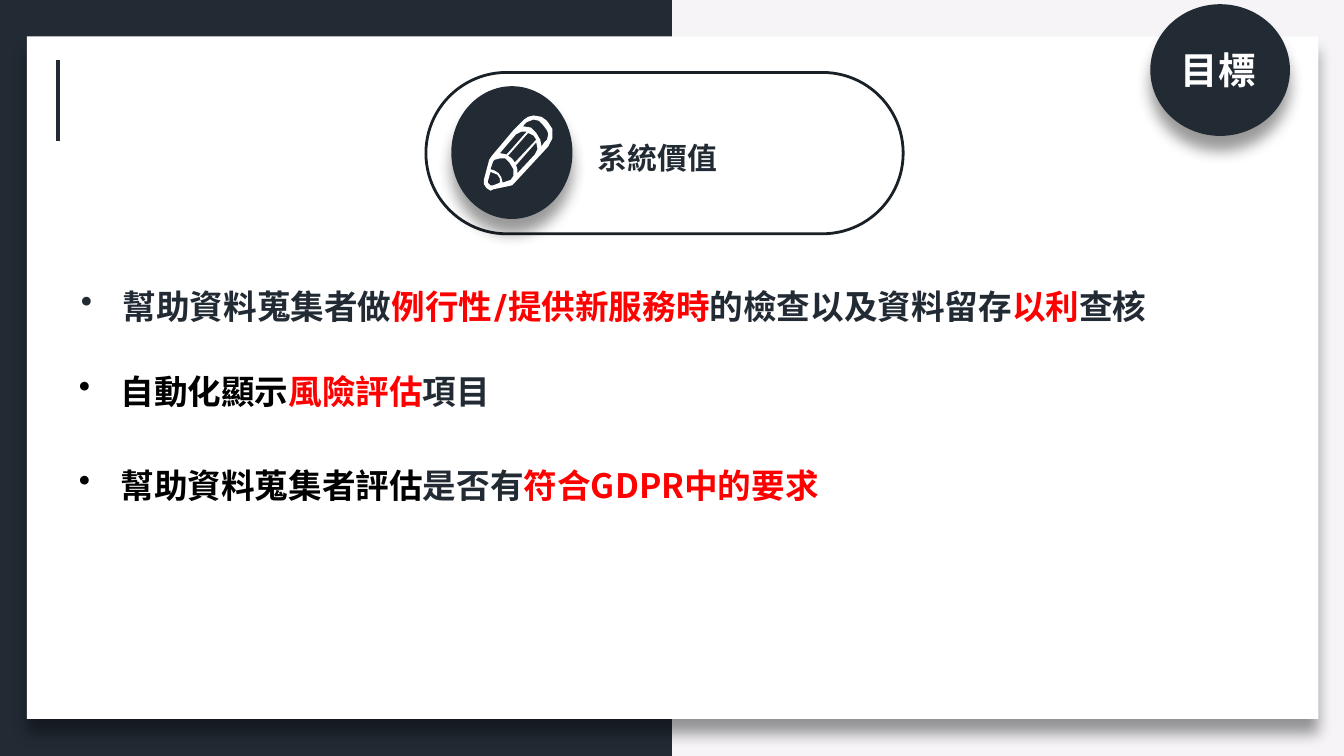
import pptx
import pptx.util
import pptx.dml.color
import pptx.enum.shapes
import pptx.enum.text
import pptx.oxml
import pptx.oxml.ns
import lxml.etree

Cm = pptx.util.Cm
Pt = pptx.util.Pt
color = pptx.dml.color.RGBColor.from_string
qn = pptx.oxml.ns.qn
SHAPE = pptx.enum.shapes.MSO_SHAPE
ALIGN = pptx.enum.text.PP_ALIGN

NAVY, WHITE, RED, BLACK = "222B34", "FFFFFF", "FF0000", "000000"
TRADITIONAL, SIMPLIFIED = "Noto Sans CJK TC", "Noto Sans CJK SC"
SHADOW = (
    '<a:effectLst xmlns:a="http://schemas.openxmlformats.org/drawingml/2006/main">'
    '<a:outerShdw blurRad="101600" dist="101600" dir="5400000" algn="t" rotWithShape="0">'
    '<a:srgbClr val="000000"><a:alpha val="40000"/></a:srgbClr>'
    "</a:outerShdw></a:effectLst>"
)

deck = pptx.Presentation()
deck.slide_width, deck.slide_height = Cm(25.4), Cm(14.29)
page = deck.slides.add_slide(deck.slide_layouts[6])
page.background.fill.solid()
page.background.fill.fore_color.rgb = color("F6F4F7")


def add_panel(kind, left, top, width, height, fill, shadow=False):
    panel = page.shapes.add_shape(kind, Cm(left), Cm(top), Cm(width), Cm(height))
    panel.shadow.inherit = False
    panel.line.fill.background()
    if fill:
        panel.fill.solid()
        panel.fill.fore_color.rgb = color(fill)
    else:
        panel.fill.background()
    if shadow:
        properties = panel._element.spPr
        properties.remove(properties.find(qn("a:effectLst")))
        properties.append(pptx.oxml.parse_xml(SHADOW))
    return panel


def add_text(left, top, width, height, size, runs, bullet=False, align=ALIGN.LEFT, wrap=True):
    """Add one bold paragraph; runs holds (text, font name, colour) triples."""
    box = page.shapes.add_textbox(Cm(left), Cm(top), Cm(width), Cm(height))
    box.text_frame.word_wrap = wrap
    para = box.text_frame.paragraphs[0]
    para.alignment = align
    if bullet:
        properties = para._p.get_or_add_pPr()
        properties.set("marL", str(Cm(0.79)))
        properties.set("indent", str(-Cm(0.79)))
        lxml.etree.SubElement(properties, qn("a:buChar")).set("char", "•")
    para.font.size = Pt(size)
    para.font.bold = True
    for text, font, shade in runs:
        span = para.add_run()
        span.text = text
        span.font.name = font
        span.font.color.rgb = color(shade)
        east_asian = lxml.etree.SubElement(span._r.get_or_add_rPr(), qn("a:ea"))
        east_asian.set("typeface", font if font == SIMPLIFIED else TRADITIONAL)


# Backdrop and card
add_panel(SHAPE.RECTANGLE, 0, 0, 12.7, 14.29, NAVY)
add_panel(SHAPE.RECTANGLE, 0.51, 0.69, 24.41, 12.9, WHITE, shadow=True)
accent = page.shapes.add_connector(
    pptx.enum.shapes.MSO_CONNECTOR.STRAIGHT, Cm(1.09), Cm(1.14), Cm(1.09), Cm(2.67)
)
accent.line.color.rgb = color(NAVY)
accent.line.width = Pt(2.25)
lxml.etree.SubElement(accent._element.spPr, qn("a:effectLst"))

# Heading pill
pill = add_panel(SHAPE.ROUNDED_RECTANGLE, 8.05, 1.37, 9.02, 3.05, None)
pill.adjustments[0] = 0.5
pill.line.color.rgb = color("192026")
pill.line.width = Pt(1.5)
add_text(11.05, 2.51, 4.37, 0.94, 16, [("系統價值", "Calibri", NAVY)])
add_panel(SHAPE.OVAL, 8.53, 1.63, 2.29, 2.51, NAVY, shadow=True)

# Pencil: the outline first, then the openings cut from it, in 1/100 inch
pencil_contours = [
    [(407, 90), (403, 87), (397, 86), (393, 87), (390, 89), (382, 97), (366, 116),
     (364, 119), (360, 134), (360, 137), (362, 140), (365, 142), (367, 141), (381, 138),
     (383, 136), (408, 109), (411, 103), (411, 96)],
    [(405, 106), (403, 109), (402, 104), (399, 99), (395, 95), (389, 94), (392, 91),
     (397, 89), (401, 90), (404, 93), (407, 97), (408, 100), (407, 104)],
    [(374, 136), (373, 132), (371, 129), (368, 127), (365, 126), (367, 120), (368, 119),
     (372, 118), (376, 118), (379, 121), (382, 126), (382, 131), (380, 134)],
    [(367, 138), (365, 138), (363, 136), (363, 135), (365, 128), (370, 130), (372, 133),
     (372, 136)],
    [(377, 115), (372, 114), (384, 100), (388, 98), (392, 98)],
    [(383, 121), (381, 118), (378, 116), (393, 99), (397, 101), (399, 104)],
    [(385, 129), (385, 126), (384, 123), (399, 106), (400, 111), (398, 115)],
]
builder = page.shapes.build_freeform(*pencil_contours[0][0], scale=Cm(0.0254))
for contour in pencil_contours:
    if contour is not pencil_contours[0]:
        builder.move_to(*contour[0])
    builder.add_line_segments(contour[1:], close=True)
pencil = builder.convert_to_shape()
pencil.shadow.inherit = False
pencil.fill.solid()
pencil.fill.fore_color.rgb = color(WHITE)
pencil.line.fill.background()

# Corner badge
add_panel(SHAPE.OVAL, 21.74, 0.08, 2.64, 2.49, NAVY, shadow=True)
add_text(22.07, 0.76, 1.93, 1.12, 20, [("目標", SIMPLIFIED, WHITE)], wrap=False)

# Bullet points
add_text(1.12, 5.28, 20.96, 1.02, 18, [
    ("幫助資料蒐集者做", "Karla", NAVY),
    ("例行性/提供新服務時", "Karla", RED),
    ("的檢查以及資料留存", "Karla", NAVY),
    ("以利", "Karla", RED),
    ("查核", "Karla", NAVY),
], bullet=True, align=ALIGN.CENTER)
add_text(1.24, 6.88, 15.24, 1.02, 18, [
    ("自動化顯示", TRADITIONAL, BLACK),
    ("風險評估", TRADITIONAL, RED),
    ("項目", "Karla", NAVY),
], bullet=True)
add_text(1.24, 8.66, 15.24, 1.02, 18, [
    ("幫助資料蒐集者評估", TRADITIONAL, BLACK),
    ("是否有", "Karla", NAVY),
    ("符合GDPR中的要求", TRADITIONAL, RED),
], bullet=True)

deck.save("out.pptx")
